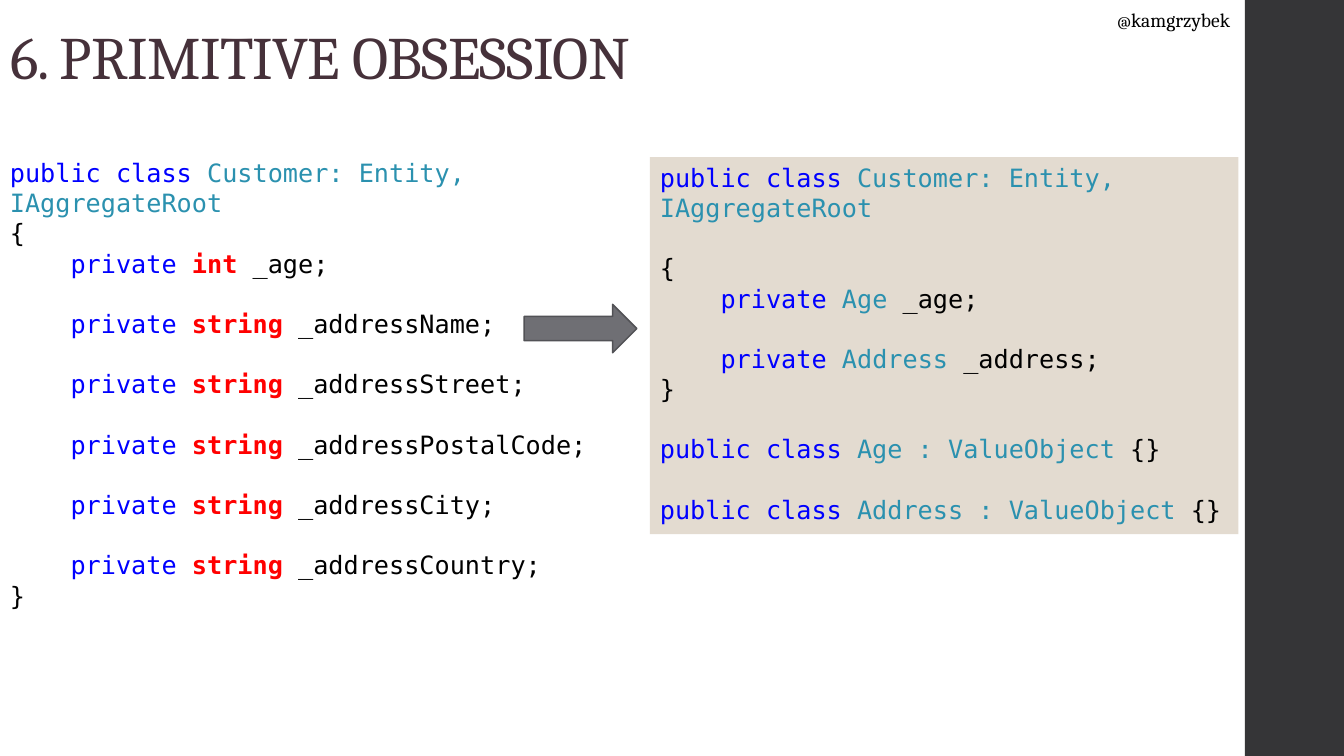
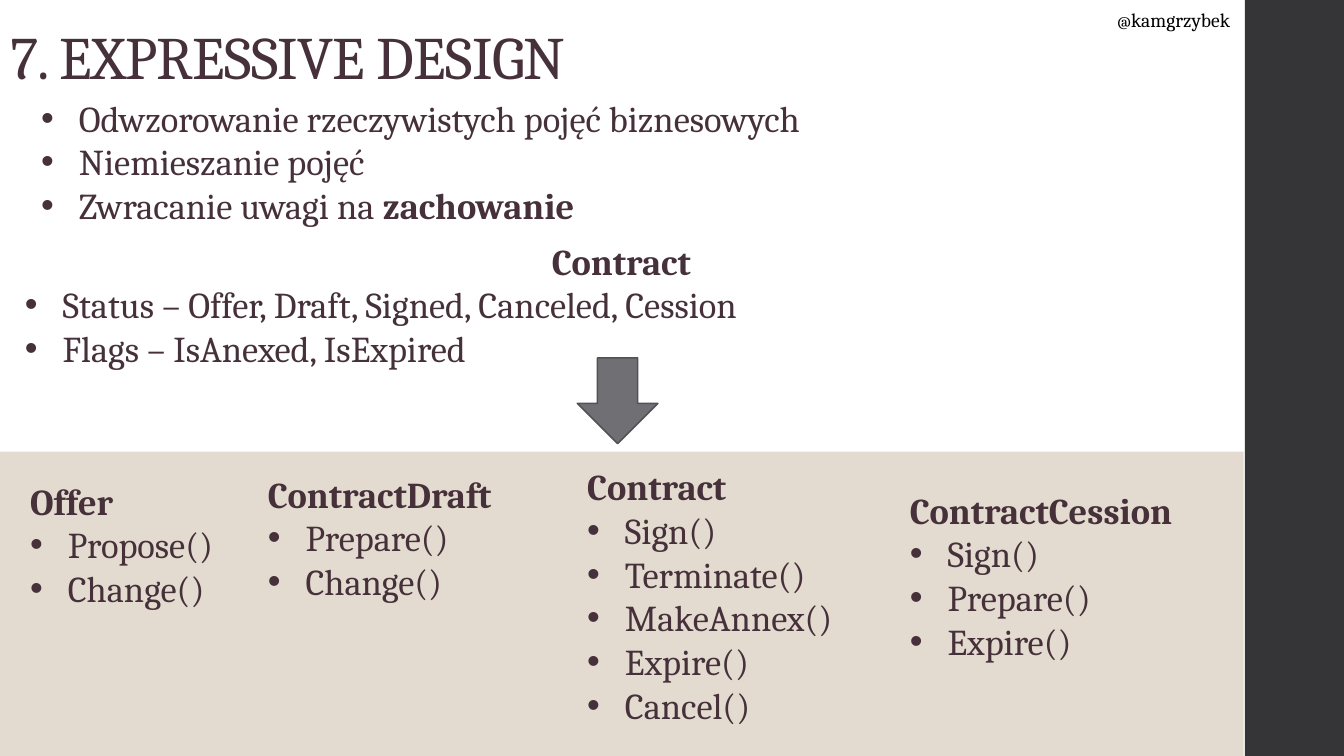
from lxml import etree
from pptx import Presentation
from pptx.dml.color import RGBColor
from pptx.enum.shapes import MSO_SHAPE as SHAPE
from pptx.enum.text import MSO_ANCHOR as ANCHOR, MSO_AUTO_SIZE as AUTO, PP_ALIGN as ALIGN
from pptx.oxml.ns import qn
from pptx.util import Cm, Pt

PLUM = RGBColor(0x46, 0x31, 0x3A)
BLACK = RGBColor(0, 0, 0)
BLUE = RGBColor(0, 0, 0xFF)
TEAL = RGBColor(0x2B, 0x91, 0xAF)
RED = RGBColor(0xFF, 0, 0)
DARK = RGBColor(0x35, 0x35, 0x37)
SAND = RGBColor(0xE3, 0xDB, 0xD0)
GREY = RGBColor(0x6F, 0x6F, 0x74)
EDGE = RGBColor(0x52, 0x52, 0x56)
SERIF, MONO = "Cambria", "DejaVu Sans Mono"
CODE_GAP = Pt(21.5)
INDENT = Cm(0.95)


def add_shape(s, kind, box, fill, line=None):
    sp = s.shapes.add_shape(kind, *map(Cm, box))
    sp.shadow.inherit = False
    sp.fill.solid()
    sp.fill.fore_color.rgb = fill
    if line is None:
        sp.line.fill.background()
    else:
        sp.line.color.rgb = line
        sp.line.width = Pt(1.1)
    return sp


def write(sp, paragraphs, font=SERIF, size=26):
    """Each paragraph is (style, run, run, ...), each run (text, colour, bold)."""
    tf = sp.text_frame
    tf.word_wrap = True
    tf.auto_size = AUTO.NONE
    tf.vertical_anchor = ANCHOR.TOP
    for i, (style, *runs) in enumerate(paragraphs):
        p = tf.paragraphs[0] if i == 0 else tf.add_paragraph()
        p.alignment = ALIGN.CENTER if style == "center" else ALIGN.LEFT
        if style == "gap":
            p.space_before = CODE_GAP
        if style == "bullet":
            pPr = p._p.get_or_add_pPr()
            pPr.set("marL", str(INDENT))
            pPr.set("indent", str(-INDENT))
            etree.SubElement(pPr, qn("a:buFont")).set("typeface", "Arial")
            etree.SubElement(pPr, qn("a:buChar")).set("char", "•")
        for text, colour, bold in runs:
            r = p.add_run()
            r.text = text
            r.font.name = font
            r.font.size = Pt(size)
            r.font.bold = bold
            r.font.color.rgb = colour
    return tf


prs = Presentation()
prs.slide_width, prs.slide_height = Cm(33.87), Cm(19.05)

# Side band, title and handle on every slide
slides = []
for title in ("6. PRIMITIVE OBSESSION", "7. EXPRESSIVE DESIGN"):
    s = prs.slides.add_slide(prs.slide_layouts[5])
    add_shape(s, SHAPE.RECTANGLE, (31.37, 0, 2.5, 19.05), DARK)
    sp = s.shapes.title
    sp.left, sp.top, sp.width, sp.height = map(Cm, (0, 0.25, 32.74, 2.21))
    tf = write(sp, [("", (title, PLUM, False))], size=43)
    tf.vertical_anchor = ANCHOR.BOTTOM
    p = tf.paragraphs[0]
    p.line_spacing = 0.9
    p.runs[0]._r.get_or_add_rPr().set("spc", "-50")
    sp = s.shapes.add_textbox(*map(Cm, (27.91, 0.08, 3.81, 0.86)))
    tf = write(sp, [("", ("@", BLACK, False), ("kamgrzybek", BLACK, False))], size=14)
    tf.paragraphs[0].runs[0].font.size = Pt(11)
    slides.append(s)
obsession, design = slides

# Slide 1: class with primitive fields
class_line = ("", ("public class ", BLUE, False),
              ("Customer: Entity, IAggregateRoot", TEAL, False))
closing = ("", ("}", BLACK, False))
private = ("    private ", BLUE, False)
fields = [("int", "_age"), ("string", "_addressName"), ("string", "_addressStreet"),
          ("string", "_addressPostalCode"), ("string", "_addressCity"),
          ("string", "_addressCountry")]
code = [class_line, ("", ("{", BLACK, False))]
for i, (kind, name) in enumerate(fields):
    code.append(("gap" if i else "", private, (kind, RED, True),
                 (f" {name};", BLACK, False)))
sp = obsession.shapes.add_textbox(*map(Cm, (0, 3.84, 16.08, 11.79)))
write(sp, code + [closing], MONO, 18)

# Slide 1: class with value objects
code = [class_line, ("gap", ("{", BLACK, False))]
for style, kind, name in (("", "Age ", "_age;"), ("gap", "Address ", "_address;")):
    code.append((style, private, (kind, TEAL, False), (name, BLACK, False)))
code.append(closing)
for name in ("Age", "Address"):
    code.append(("gap", ("public class ", BLUE, False),
                 (f"{name} : ValueObject ", TEAL, False), ("{}", BLACK, False)))
sp = add_shape(obsession, SHAPE.RECTANGLE, (16.38, 3.96, 14.83, 9.5), SAND)
write(sp, code, MONO, 18)
add_shape(obsession, SHAPE.RIGHT_ARROW, (13.21, 7.67, 2.84, 1.22), GREY, EDGE)

# Slide 2: principles and the single contract class
sp = design.shapes.add_textbox(*map(Cm, (0.79, 2.29, 30.56, 3.6)))
write(sp, [
    ("bullet", ("Odwzorowanie rzeczywistych pojęć biznesowych", PLUM, False)),
    ("bullet", ("Niemieszanie pojęć", PLUM, False)),
    ("bullet", ("Zwracanie uwagi na ", PLUM, False), ("zachowanie", PLUM, True)),
])
sp = design.shapes.add_textbox(*map(Cm, (0.38, 5.89, 30.56, 3.6)))
write(sp, [
    ("center", ("Contract", PLUM, True)),
    ("bullet", ("Status – Offer, Draft, Signed, Canceled, Cession", PLUM, False)),
    ("bullet", ("Flags – IsAnexed, IsExpired", PLUM, False)),
])
add_shape(design, SHAPE.DOWN_ARROW, (14.55, 9.02, 2.03, 2.16), GREY, EDGE)

# Slide 2: separate classes with their behaviour
add_shape(design, SHAPE.RECTANGLE, (0, 11.38, 31.34, 7.67), SAND)
classes = [
    (0.51, 11.94, 5.69, "Offer", ["Propose()", "Change()"]),
    (6.5, 11.76, 7.77, "ContractDraft", ["Prepare()", "Change()"]),
    (14.55, 11.58, 7.85, "Contract",
     ["Sign()", "Terminate()", "MakeAnnex()", "Expire()", "Cancel()"]),
    (22.68, 12.17, 8.64, "ContractCession", ["Sign()", "Prepare()", "Expire()"]),
]
for left, top, width, name, methods in classes:
    height = 0.25 + 1.11 * (len(methods) + 1)
    sp = design.shapes.add_textbox(*map(Cm, (left, top, width, height)))
    write(sp, [("", (name, PLUM, True))]
          + [("bullet", (method, PLUM, False)) for method in methods])

prs.save("out.pptx")
